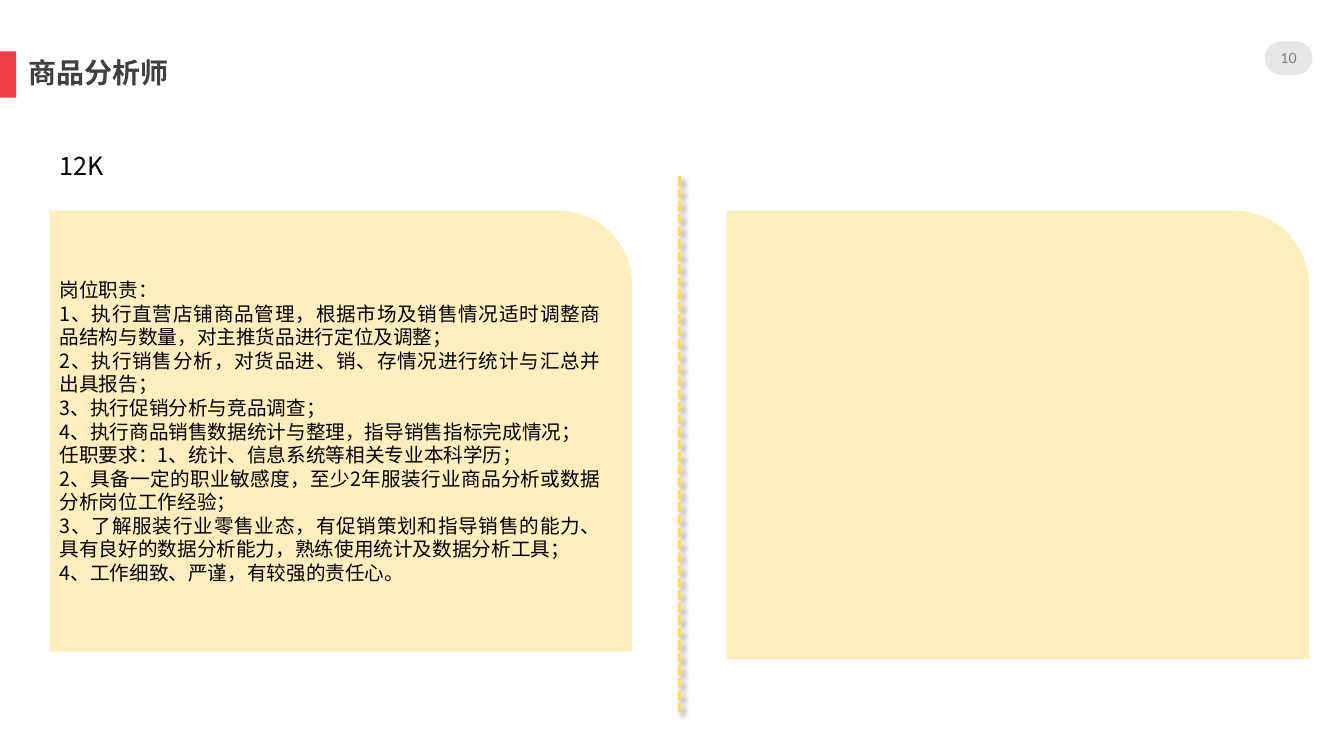
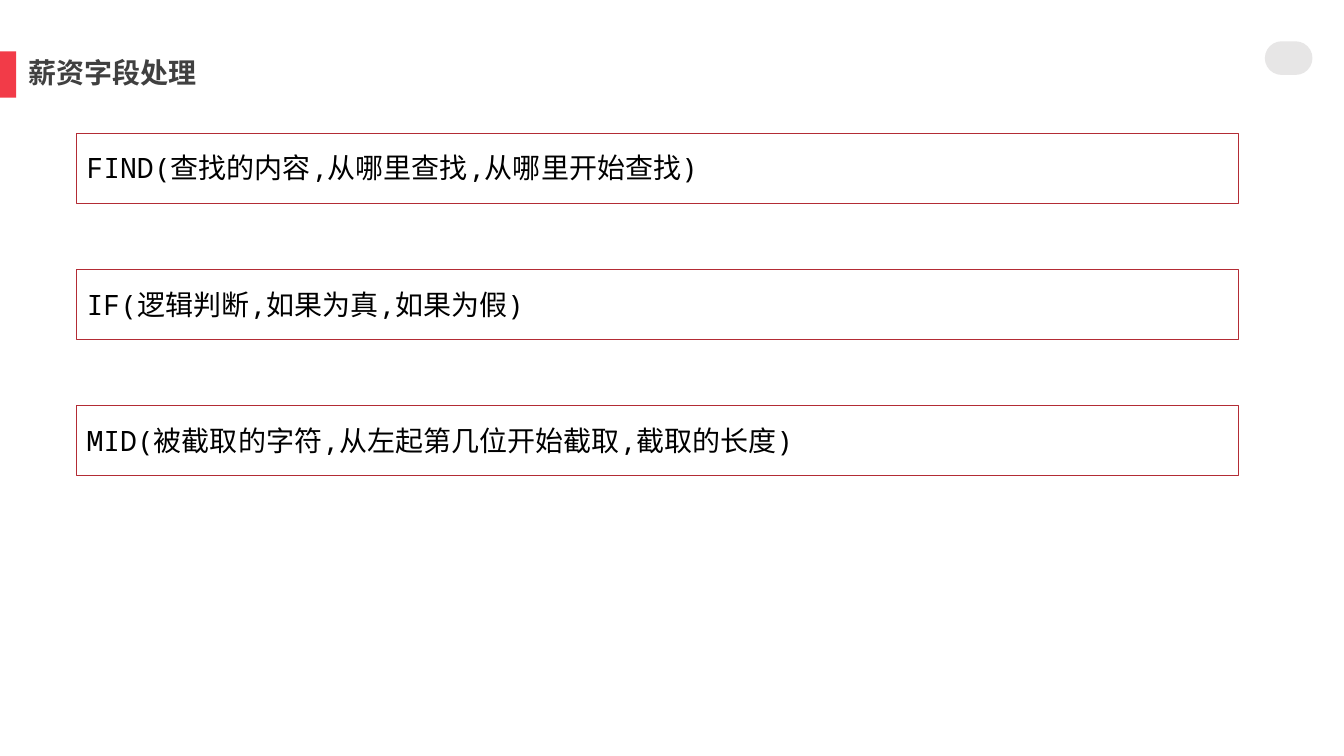
from dataclasses import dataclass
from typing import Any

from lxml import etree
from pptx import Presentation
from pptx import util as u
from pptx.dml import color
from pptx.enum import dml, shapes, text
from pptx.oxml import ns

Pt = u.Pt
RED, GREY, YELLOW, CRIMSON = "F23B48", "E7E6E6", "FFD860", "B32C35"
BLACK, TITLE_INK, NUMBER_INK = "000000", "404040", "808080"
SANS, MONO, LATIN = "Noto Sans CJK SC", "Noto Sans Mono", "Lato"
MIDDLE, TOP = text.MSO_ANCHOR.MIDDLE, text.MSO_ANCHOR.TOP
LEFT, CENTER, JUSTIFY = (
    text.PP_ALIGN.LEFT,
    text.PP_ALIGN.CENTER,
    text.PP_ALIGN.JUSTIFY,
)
FLUSH = dict.fromkeys(("margin_left", "margin_top", "margin_right", "margin_bottom"), 0)


@dataclass(frozen=True)
class Box:
    x: float
    y: float
    w: float
    h: float

    def emu(self) -> tuple[int, ...]:
        return tuple(Pt(v) for v in (self.x, self.y, self.w, self.h))


@dataclass(frozen=True)
class TextStyle:
    size: float
    ink: str
    font: str = SANS
    bold: bool = False
    align: Any = LEFT
    spacing: float = 1.0


BAND = Box(0, 36.75, 11.5, 33)
BADGE = Box(903.5, 29.5, 34, 24)
TITLE = Box(20, 36.75, 300, 33)
TITLE_STYLE = TextStyle(20, TITLE_INK, bold=True, spacing=0.9)
NUMBER_STYLE = TextStyle(10, NUMBER_INK, LATIN, align=CENTER)
DUTY_STYLE = TextStyle(14, BLACK, align=JUSTIFY)
SALARY_STYLE = TextStyle(18, BLACK)
FORMULA_STYLE = TextStyle(20, BLACK, MONO)

DUTIES = [
    "岗位职责：",
    "1、执行直营店铺商品管理，根据市场及销售情况适时调整商品结构与数量，对主推货品进行定位及调整；",
    "2、执行销售分析，对货品进、销、存情况进行统计与汇总并出具报告；",
    "3、执行促销分析与竞品调查；",
    "4、执行商品销售数据统计与整理，指导销售指标完成情况；",
    "任职要求：1、统计、信息系统等相关专业本科学历；",
    "2、具备一定的职业敏感度，至少2年服装行业商品分析或数据分析岗位工作经验；",
    "3、了解服装行业零售业态，有促销策划和指导销售的能力、具有良好的数据分析能力，熟练使用统计及数据分析工具；",
    "4、工作细致、严谨，有较强的责任心。",
]
FORMULAS = [
    "FIND(查找的内容,从哪里查找,从哪里开始查找)",
    "IF(逻辑判断,如果为真,如果为假)",
    "MID(被截取的字符,从左起第几位开始截取,截取的长度)",
]


def rgb(value: str) -> color.RGBColor:
    return color.RGBColor.from_string(value)


def apply(target: Any, values: dict[str, Any]) -> None:
    for name, value in values.items():
        setattr(target, name, value)


def write(tf: Any, lines: list[str], style: TextStyle, **frame: Any) -> None:
    apply(tf, {"word_wrap": True, **frame})
    for i, line in enumerate(lines):
        p = tf.paragraphs[0] if i == 0 else tf.add_paragraph()
        apply(p, {"alignment": style.align, "line_spacing": style.spacing})
        r = p.add_run()
        r.text = line
        apply(r.font, {"size": Pt(style.size), "name": style.font, "bold": style.bold})
        r.font.color.rgb = rgb(style.ink)
        etree.SubElement(r.font._element, ns.qn("a:ea"), typeface=SANS)


def add_text(s: Any, box: Box, lines: list[str], style: TextStyle, **frame: Any) -> None:
    write(s.shapes.add_textbox(*box.emu()).text_frame, lines, style, **frame)


def add_shape(s: Any, kind: Any, box: Box, fill: str = "", line: str = "",
              alpha: int = 100) -> Any:
    sp = s.shapes.add_shape(kind, *box.emu())
    sp.shadow.inherit = False
    if fill:
        sp.fill.solid()
        sp.fill.fore_color.rgb = rgb(fill)
        if alpha < 100:
            clr = sp.fill._xPr.find(".//" + ns.qn("a:srgbClr"))
            etree.SubElement(clr, ns.qn("a:alpha"), val=str(alpha * 1000))
    else:
        sp.fill.background()
    if line:
        sp.line.color.rgb = rgb(line)
        sp.line.width = Pt(0.25)
    else:
        sp.line.fill.background()
    return sp


def add_divider(s: Any, x: float, top: float, bottom: float) -> None:
    line = s.shapes.add_connector(
        shapes.MSO_CONNECTOR.STRAIGHT, Pt(x), Pt(top), Pt(x), Pt(bottom)
    )
    line.line.color.rgb = rgb(YELLOW)
    apply(line.line, {"width": Pt(2.25), "dash_style": dml.MSO_LINE.SQUARE_DOT})
    effects = etree.SubElement(line._element.spPr, ns.qn("a:effectLst"))
    shadow = etree.SubElement(
        effects, ns.qn("a:outerShdw"), blurRad=str(Pt(4)), dist=str(Pt(3)),
        dir=str(45 * 60000), algn="tl", rotWithShape="0",
    )
    clr = etree.SubElement(shadow, ns.qn("a:srgbClr"), val=BLACK)
    etree.SubElement(clr, ns.qn("a:alpha"), val="40000")


def add_slide(prs: Any, title: str, number: str = "") -> Any:
    s = prs.slides.add_slide(prs.slide_layouts[6])
    add_shape(s, shapes.MSO_SHAPE.RECTANGLE, BAND, RED)
    badge = add_shape(s, shapes.MSO_SHAPE.ROUNDED_RECTANGLE, BADGE, GREY)
    badge.adjustments[0] = 0.5
    add_text(s, TITLE, [title], TITLE_STYLE, vertical_anchor=MIDDLE, **FLUSH)
    if number:
        add_text(s, BADGE, [number], NUMBER_STYLE, vertical_anchor=MIDDLE, **FLUSH)
    return s


def job_slide(prs: Any) -> None:
    s = add_slide(prs, "商品分析师", "10")
    card = shapes.MSO_SHAPE.ROUND_1_RECTANGLE
    duties = add_shape(s, card, Box(35.5, 150.5, 416, 315), YELLOW, alpha=40)
    write(duties.text_frame, DUTIES, DUTY_STYLE, vertical_anchor=MIDDLE)
    add_divider(s, 485.5, 126, 510)
    add_shape(s, card, Box(519, 150.5, 416, 320.5), YELLOW, alpha=40)
    add_text(s, Box(35.5, 103.5, 168, 29), ["12K"], SALARY_STYLE, vertical_anchor=TOP)


def formula_slide(prs: Any) -> None:
    s = add_slide(prs, "薪资字段处理")
    x, top, width, pitch = 54.75, 95.25, 829.5, 97.25
    for i, formula in enumerate(FORMULAS):
        y = top + i * pitch
        add_shape(s, shapes.MSO_SHAPE.RECTANGLE, Box(x, y, width, 50), line=CRIMSON)
        add_text(s, Box(x, y + 9, width, 32), [formula], FORMULA_STYLE,
                 vertical_anchor=TOP)


def main() -> None:
    prs = Presentation()
    apply(prs, {"slide_width": Pt(960), "slide_height": Pt(540)})
    job_slide(prs)
    formula_slide(prs)
    prs.save("out.pptx")


if __name__ == "__main__":
    main()
